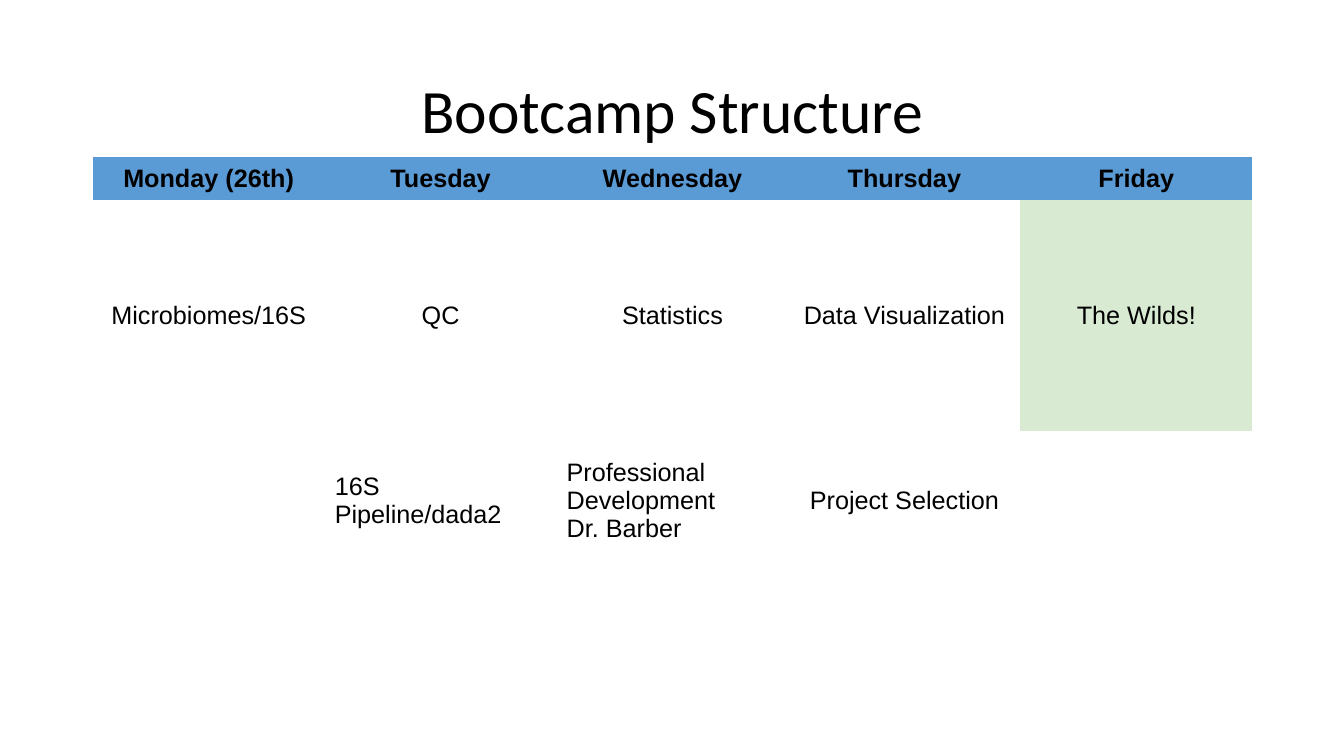
from dataclasses import dataclass

from pptx import Presentation, util as u
from pptx.dml import color
from pptx.enum import text
from pptx.oxml import ns


@dataclass(frozen=True)
class Theme:
    ink: str = "000000"
    header: str = "5B9BD5"
    paper: str = "FFFFFF"
    trip: str = "D9EAD3"
    title_font: str = "Calibri"
    table_font: str = "Arial"
    title_size: int = 44
    table_size: int = 18


class Deck:
    """Holds the style, the grid and the current slide."""

    LEFT, COLUMN, ROW = 0.92, 2.3, 0.1  # inches
    PLAIN_TABLE = "{2D5ABB26-0587-4C30-8999-92F81FD0307C}"

    def __init__(self, theme):
        self.theme = theme
        self.presentation = Presentation()
        self.presentation.slide_width = u.Inches(13.33)
        self.presentation.slide_height = u.Inches(7.5)
        title_only = self.presentation.slide_layouts[5]
        self.slide = self.presentation.slides.add_slide(title_only)

    def area(self, top, columns, rows):
        """Left, top, width and height of an area starting at the margin."""
        return (u.Inches(self.LEFT), self.rows(top),
                self.columns(columns), self.rows(rows))

    def columns(self, count):
        return u.Inches(count * self.COLUMN)

    def rows(self, count):
        return u.Inches(count * self.ROW)

    def add_words(self, paragraph, words, font, size, bold=False, centred=True):
        paragraph.alignment = (text.PP_ALIGN.CENTER if centred
                               else text.PP_ALIGN.LEFT)
        run = paragraph.add_run()
        run.text = words
        run.font.name = font
        run.font.size = u.Pt(size)
        run.font.bold = bold
        run.font.color.rgb = color.RGBColor.from_string(self.theme.ink)

    def title(self, words, top, columns, rows):
        heading = self.slide.shapes.title
        (heading.left, heading.top,
         heading.width, heading.height) = self.area(top, columns, rows)
        frame = heading.text_frame
        frame.auto_size = text.MSO_AUTO_SIZE.NONE
        frame.vertical_anchor = text.MSO_ANCHOR.MIDDLE
        paragraph = frame.paragraphs[0]
        paragraph.line_spacing = 0.9
        self.add_words(paragraph, words, self.theme.title_font,
                       self.theme.title_size)

    def cell(self, cell, lines, fill, bold, centred):
        cell.vertical_anchor = text.MSO_ANCHOR.MIDDLE
        if fill:
            cell.fill.solid()
            cell.fill.fore_color.rgb = color.RGBColor.from_string(fill)
        else:
            cell.fill.background()
        frame = cell.text_frame
        for index, line in enumerate(lines):
            paragraph = frame.add_paragraph() if index else frame.paragraphs[0]
            self.add_words(paragraph, line, self.theme.table_font,
                           self.theme.table_size, bold, centred)

    def table(self, schedule, fills, left_aligned, top, row_heights):
        days = len(schedule[0])
        holder = self.slide.shapes.add_table(
            len(schedule), days, *self.area(top, days, sum(row_heights)))
        for style in holder.element.iter(ns.qn("a:tableStyleId")):
            style.text = self.PLAIN_TABLE
        grid = holder.table
        grid.horz_banding = False
        for column in grid.columns:
            column.width = self.columns(1)
        for r, (sessions, height) in enumerate(zip(schedule, row_heights)):
            grid.rows[r].height = self.rows(height)
            for c, lines in enumerate(sessions):
                self.cell(grid.cell(r, c), lines, fills[r][c], bold=r == 0,
                          centred=(r, c) not in left_aligned)


def main():
    theme = Theme()
    deck = Deck(theme)

    # Title
    deck.title("Bootcamp Structure", top=4, columns=5, rows=14.5)

    # Week schedule: days, morning, afternoon
    schedule = [
        [["Monday (26th)"], ["Tuesday"], ["Wednesday"], ["Thursday"],
         ["Friday"]],
        [["Microbiomes/16S"], ["QC"], ["Statistics"], ["Data Visualization"],
         ["The Wilds!"]],
        [[], ["16S Pipeline/dada2"],
         ["Professional Development", "Dr. Barber"],
         ["Project Selection"], []],
    ]
    fills = [
        [theme.header] * 5,
        [theme.paper] * 2 + [None] * 2 + [theme.trip],
        [theme.paper] * 2 + [None] * 3,
    ]
    deck.table(schedule, fills, left_aligned={(2, 1), (2, 2)},
               top=15.6, row_heights=[4.2, 23, 13.8])

    deck.presentation.save("out.pptx")


if __name__ == "__main__":
    main()
